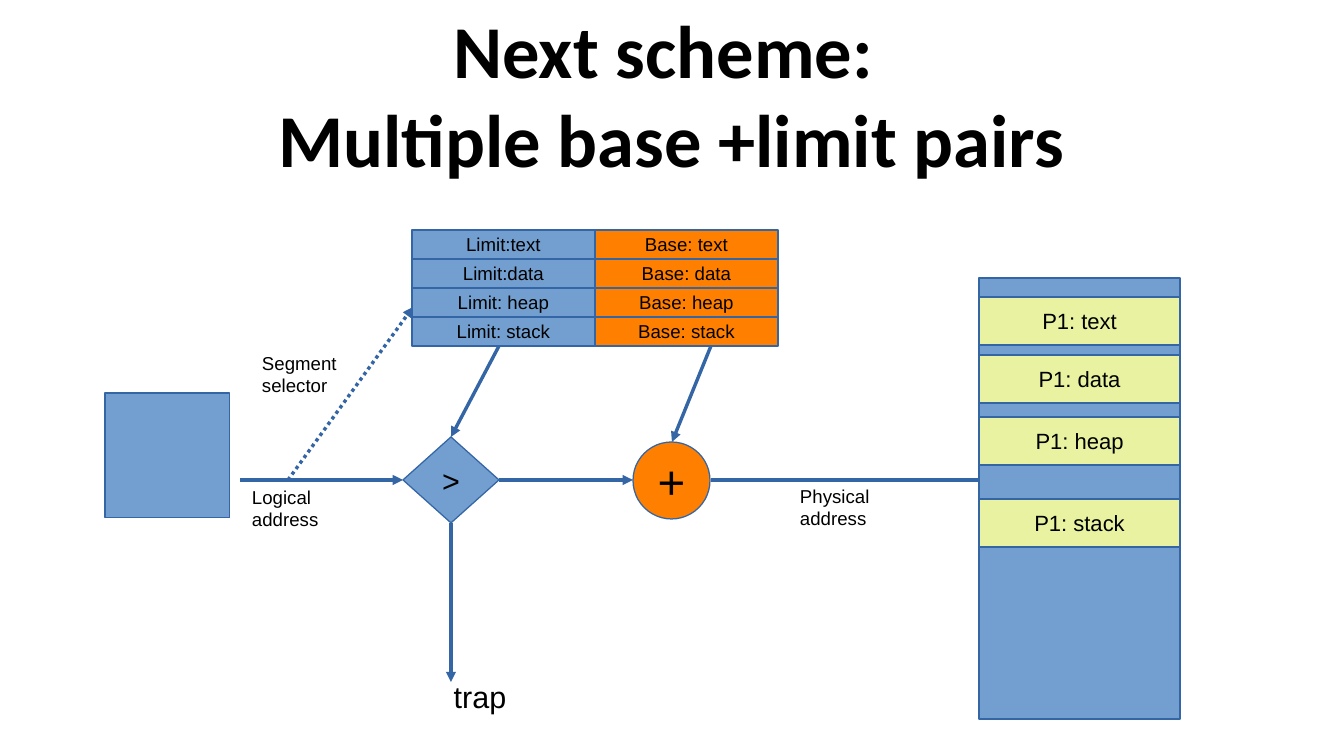
from lxml import etree
from pptx import Presentation
from pptx.dml.color import RGBColor
from pptx.enum.dml import MSO_LINE
from pptx.enum.shapes import MSO_CONNECTOR, MSO_SHAPE
from pptx.enum.text import MSO_ANCHOR, PP_ALIGN
from pptx.oxml.ns import qn
from pptx.util import Pt

PX = 914400 / 122
RECT, DIAMOND, OVAL = MSO_SHAPE.RECTANGLE, MSO_SHAPE.DIAMOND, MSO_SHAPE.OVAL
STRAIGHT = MSO_CONNECTOR.STRAIGHT
DOTTED = MSO_LINE.ROUND_DOT
MIDDLE = MSO_ANCHOR.MIDDLE
LEFT, CENTER = PP_ALIGN.LEFT, PP_ALIGN.CENTER
COLORS = {
    "black": "000000",
    "blue": "729FCF",
    "orange": "FF8000",
    "green": "E8F2A1",
    "line": "3465A4",
}
RGB = {name: RGBColor.from_string(value) for name, value in COLORS.items()}

prs = Presentation()
prs.slide_width = round(1344 * PX)
prs.slide_height = round(756 * PX)
s = prs.slides.add_slide(prs.slide_layouts[5])


def write(sp, text, size, align=CENTER, font="Arial", bold=False):
    tf = sp.text_frame
    tf.text = text
    p = tf.paragraphs[0]
    p.alignment = align
    p.font.name = font
    p.font.size = Pt(size)
    p.font.bold = bold
    p.font.color.rgb = RGB["black"]
    return tf


def block(kind, x, y, w, h, color, text="", size=11):
    sp = s.shapes.add_shape(kind, *[round(v * PX) for v in (x, y, w, h)])
    sp.shadow.inherit = False
    sp.fill.solid()
    sp.fill.fore_color.rgb = RGB[color]
    sp.line.color.rgb = RGB["line"]
    sp.line.width = Pt(0)
    if text:
        tf = write(sp, text, size)
        tf.word_wrap = False
        tf.vertical_anchor = MIDDLE


title = s.shapes.title
title.left, title.top = round(67 * PX), round(-9 * PX)
title.width, title.height = round(1210 * PX), round(204 * PX)
tf = write(title, "Next scheme: \vMultiple base +limit pairs", 44, font="Calibri", bold=True)
tf.vertical_anchor = MIDDLE
tf.margin_left = tf.margin_right = tf.margin_top = tf.margin_bottom = 0

registers = [
    ("Limit:text", "Base: text"),
    ("Limit:data", "Base: data"),
    ("Limit: heap", "Base: heap"),
    ("Limit: stack", "Base: stack"),
]
for row, pair in enumerate(registers):
    for col, (text, color) in enumerate(zip(pair, ("blue", "orange"))):
        block(RECT, 412 + 183 * col, 230 + 29 * row, 183, 29, color, text)

block(RECT, 105, 393, 125, 125, "blue")
block(DIAMOND, 403, 437, 96, 86, "blue", ">", 18)
block(OVAL, 633, 442, 77, 77, "orange", "+", 28)

arrows = [
    (240, 480, 403, 480),
    (499, 480, 633, 480),
    (499, 346, 451, 437),
    (711, 346, 672, 442),
    (711, 480, 989, 480),
    (451, 523, 451, 682),
    (288, 480, 413, 307),
]
for ends in arrows:
    line = s.shapes.add_connector(STRAIGHT, *[round(v * PX) for v in ends])
    line.line.color.rgb = RGB["line"]
    line.line.width = Pt(0)
    if ends == arrows[-1]:
        line.line.dash_style = DOTTED
    etree.SubElement(line.line._get_or_add_ln(), qn("a:tailEnd"), type="triangle")
    etree.SubElement(line._element.spPr, qn("a:effectLst"))

block(RECT, 979, 278, 201, 441, "blue")
segments = [("text", 297), ("data", 355), ("heap", 417), ("stack", 499)]
for name, y in segments:
    block(RECT, 979, y, 201, 48, "green", f"P1: {name}", 13)

labels = [
    ("Logical address", 240, 480, 144, 54, 11, LEFT),
    ("Physical address", 788, 479, 144, 54, 11, LEFT),
    ("Segment selector", 250, 346, 115, 54, 11, LEFT),
    ("trap", 365, 672, 230, 46, 18, CENTER),
]
for text, x, y, w, h, size, align in labels:
    sp = s.shapes.add_textbox(*[round(v * PX) for v in (x, y, w, h)])
    tf = write(sp, text, size, align)
    tf.word_wrap = True

prs.save("out.pptx")
